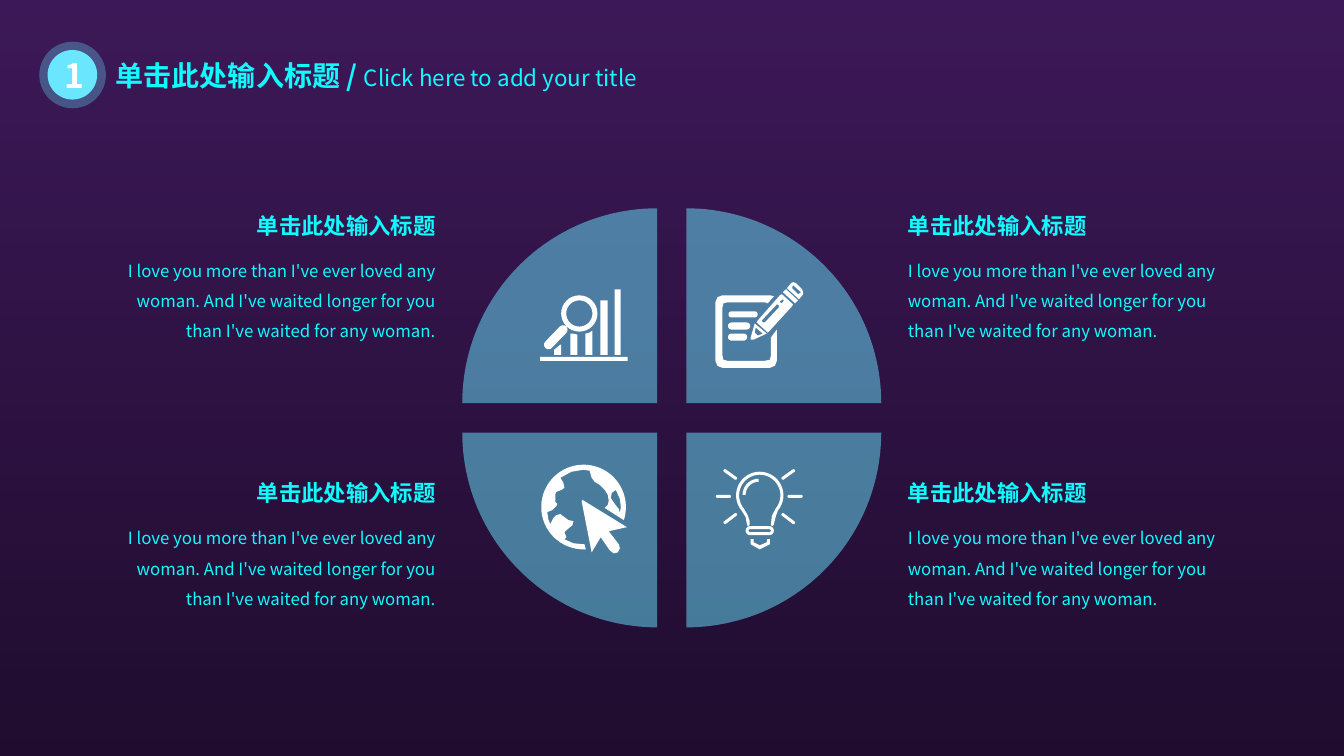
import math

from lxml import etree
from pptx import Presentation
from pptx.dml.color import RGBColor
from pptx.enum.shapes import MSO_SHAPE
from pptx.enum.text import MSO_ANCHOR, MSO_AUTO_SIZE, PP_ALIGN
from pptx.oxml.ns import qn
from pptx.util import Cm, Pt

RECTANGLE, OVAL = MSO_SHAPE.RECTANGLE, MSO_SHAPE.OVAL
LEFT, CENTER, RIGHT = PP_ALIGN.LEFT, PP_ALIGN.CENTER, PP_ALIGN.RIGHT
MIDDLE = MSO_ANCHOR.MIDDLE
GROW = MSO_AUTO_SIZE.SHAPE_TO_FIT_TEXT

HEADING = "单击此处输入标题"
BODY = ("I love you more than I've ever loved any woman. And I've waited "
        "longer for you than I've waited for any woman.")


def color(hex_value):
    return RGBColor.from_string(hex_value)


# Outlines as lists of points
def arc(cx, cy, radius, start, end, steps=32):
    angles = [math.radians(start + (end - start) * i / steps) for i in range(steps + 1)]
    return [(cx + radius * math.cos(a), cy + radius * math.sin(a)) for a in angles]


def circle(cx, cy, radius):
    return arc(cx, cy, radius, 0, 360)


def bar(left, top, right, bottom):
    return [(left, top), (right, top), (right, bottom), (left, bottom)]


def capsule(x1, y1, x2, y2, radius):
    heading = math.degrees(math.atan2(y2 - y1, x2 - x1))
    return (arc(x2, y2, radius, heading - 90, heading + 90, 12)
            + arc(x1, y1, radius, heading + 90, heading + 270, 12))


class Deck:
    font = "Noto Sans CJK SC"
    cyan, aqua, white = "10FBFE", "6AE7FF", "FFFFFF"
    icon_unit = 2.54 / 100

    def __init__(self, width, height):
        self.presentation = Presentation()
        self.presentation.slide_width = Cm(width)
        self.presentation.slide_height = Cm(height)
        self.slide = self.presentation.slides.add_slide(self.presentation.slide_layouts[6])

    def background(self, top, bottom):
        fill = self.slide.background.fill
        fill.gradient()
        fill.gradient_angle = 270
        for stop, shade, position in zip(fill.gradient_stops, (top, bottom), (0, 1)):
            stop.color.rgb = color(shade)
            stop.position = position

    def paint(self, shape, fill, opacity):
        shape.shadow.inherit = False
        shape.line.fill.background()
        shape.fill.solid()
        shape.fill.fore_color.rgb = color(fill)
        if opacity < 100:
            solid = shape._element.spPr.find(".//" + qn("a:srgbClr"))
            etree.SubElement(solid, qn("a:alpha"), val=str(opacity * 1000))
        return shape

    def shape(self, kind, left, top, width, height, fill, opacity=100):
        preset = self.slide.shapes.add_shape(kind, Cm(left), Cm(top), Cm(width), Cm(height))
        return self.paint(preset, fill, opacity)

    def outline(self, left, top, contours, fill, opacity=100, unit=1.0):
        contours = [[(Cm(x * unit), Cm(y * unit)) for x, y in points] for points in contours]
        builder = self.slide.shapes.build_freeform(*contours[0][0])
        for points in contours:
            if points is not contours[0]:
                builder.move_to(*points[0])
            builder.add_line_segments(points[1:], close=True)
        return self.paint(builder.convert_to_shape(Cm(left), Cm(top)), fill, opacity)

    def icon(self, left, top, contours):
        self.outline(left, top, contours, self.white, unit=self.icon_unit)

    def style(self, font, size=None, bold=None, shade=None):
        font.size = Pt(size) if size else None
        font.bold = bold
        if shade:
            font.color.rgb = color(shade)
            font.name = self.font
            etree.SubElement(font._rPr, qn("a:ea"), typeface=self.font)

    def text(self, left, top, width, height, runs, align=LEFT, spacing=None):
        """Each run is (words, size, bold)."""
        box = self.slide.shapes.add_textbox(Cm(left), Cm(top), Cm(width), Cm(height))
        frame = box.text_frame
        frame.word_wrap = True
        frame.auto_size = GROW
        paragraph = frame.paragraphs[0]
        paragraph.alignment = align
        if spacing:
            paragraph.line_spacing = spacing
        single = len(runs) == 1
        for words, size, bold in runs:
            run = paragraph.add_run()
            run.text = words
            if not single:
                self.style(run.font, size, bold)
        size, bold = runs[0][1:] if single else (None, None)
        self.style(paragraph.font, size, bold, self.cyan)

    def badge(self, number, left, top, width):
        disc = self.shape(OVAL, left, top, width, width, self.aqua)
        frame = disc.text_frame
        frame.vertical_anchor = MIDDLE
        paragraph = frame.paragraphs[0]
        paragraph.text = number
        paragraph.alignment = CENTER
        self.style(paragraph.font, 24, True, self.white)


def main():
    deck = Deck(33.87, 19.05)

    # Background, darkened by a veil
    deck.background("7B32B2", "401A5D")
    deck.shape(RECTANGLE, 0, 0, 33.87, 19.05, "000000", 50)

    # Header
    deck.shape(OVAL, 0.99, 1.05, 1.68, 1.68, deck.aqua, 30)
    deck.badge("1", 1.2, 1.26, 1.25)
    deck.text(2.67, 1.35, 14.55, 1.12, [(HEADING + " / ", 20, True),
                                        ("Click here to add your title", 16, False)])

    # Four quarters of a disc
    for down in (-1, 1):
        for across in (-1, 1):
            start = {(1, 1): 0, (-1, 1): 90, (-1, -1): 180, (1, -1): 270}[across, down]
            quarter = [(0, 0)] + arc(0, 0, 4.91, start, start + 90, 48)
            deck.outline(16.93 + across * 0.37, 10.53 + down * 0.37, [quarter], deck.aqua, 50)

    # Bar chart under a magnifier
    deck.icon(13.61, 7.29, [
        bar(0, 67, 87, 71),
        [(20, 55), (21, 55), (21, 65), (14, 65), (14, 60)],
        [(30, 44), (33, 44), (37, 45), (37, 65), (30, 65)],
        [(52, 41), (52, 65), (45, 65), (45, 44), (49, 43)],
        bar(60, 11, 67, 65), bar(74, 0, 80, 65),
        circle(39, 24, 18), circle(39, 24, 13),
        capsule(8.5, 55, 22.8, 40.2, 4.5)])

    # Notepad and pencil
    deck.icon(18.03, 7.11, [
        capsule(16, 32, 39, 32, 3), capsule(16, 43.5, 31, 43.5, 3.5),
        capsule(16, 54.5, 28, 54.5, 3.5),
        [(7, 13), (54, 13), (58, 14), (52, 21), (49, 20), (12, 20), (8, 21), (7, 25),
         (7, 73), (8, 77), (12, 78), (49, 78), (54, 77), (55, 73), (55, 55), (61, 47),
         (61, 78), (59, 83), (54, 85), (7, 85), (2, 83), (0, 78), (0, 20), (2, 15)],
        [(39, 41), (51, 51), (38, 57), (35, 57), (35, 55)],
        [(40, 45), (39, 50), (42, 53), (47, 51)],
        [(66, 12), (77, 22), (76, 24), (54, 48), (52, 50), (41, 40), (42, 38), (64, 13)],
        [(61, 22), (63, 23), (63, 25), (49, 40), (47, 40), (46, 38)],
        [(67, 17), (68, 18), (66, 21), (64, 20), (64, 19)],
        [(70, 7), (82, 18), (79, 21), (67, 10)],
        [(77, 0), (80, 1), (86, 7), (87, 10), (87, 12), (83, 17), (71, 6), (75, 1)],
        [(77, 3), (76, 6), (82, 12), (85, 10)]])

    # Globe and pointer
    deck.icon(13.64, 11.71, [
        arc(42, 42, 42, 87, 378, 72) + [
            (63, 43), (66, 40), (67, 36), (66, 30), (63, 25), (58, 20), (53, 17), (50, 13),
            (48, 6), (42, 5), (30, 7), (19, 13), (22, 18), (23, 23), (20, 25), (15, 27),
            (14, 29), (14, 37), (16, 39), (15, 41), (11, 45), (6, 47), (7, 54), (9, 59),
            (12, 53), (15, 50), (19, 49), (23, 52), (27, 55), (32, 56), (31, 60), (25, 65),
            (23, 67), (25, 72), (23, 74), (32, 78), (43, 79)],
        [(74, 25), (70, 28), (69, 33), (73, 39), (77, 44), (78, 48), (79, 42), (78, 34)],
        [(41, 35), (85, 62), (67, 66), (77, 79), (78, 83), (76, 87), (72, 88), (68, 85),
         (59, 72), (50, 87), (40, 36)]])

    # Light bulb
    rays = [(2, 27.5, 14, 27.5), (9.5, 2, 20, 9.5), (9.5, 53.5, 20, 45.5)]
    rays += [(87 - x1, y1, 87 - x2, y2) for x1, y1, x2, y2 in rays]
    deck.icon(18.03, 11.81, [capsule(*ray, 1.5) for ray in rays] + [
        arc(44, 26.5, 23.5, 140, 400)
        + [(60, 47), (58, 55), (57, 57), (55, 56), (56, 47)]
        + arc(44, 26.5, 20.5, 400, 140)
        + [(32, 46), (34, 52), (34, 56), (32, 57), (31, 54), (30, 48)],
        arc(43, 26, 16, 180, 270) + arc(43, 26, 13, 270, 180),
        capsule(34.5, 61.5, 53.5, 61.5, 4.5), capsule(34.5, 61.5, 53.5, 61.5, 1.5),
        [(35, 70), (38, 70), (38, 73), (44, 76), (51, 73), (51, 70), (54, 70),
         (54, 75), (44, 80), (35, 75)]])

    # Captions beside the quarters
    for top in (5.21, 11.95):
        for heading_left, body_left, align in ((22.63, 22.63, LEFT), (5.01, 2.59, RIGHT)):
            deck.text(heading_left, top, 6.22, 0.94, [(HEADING, 16, True)], align)
            deck.text(body_left, top + 0.98, 8.64, 2.57, [(BODY, 12, False)], align, 1.5)

    deck.presentation.save("out.pptx")


if __name__ == "__main__":
    main()
